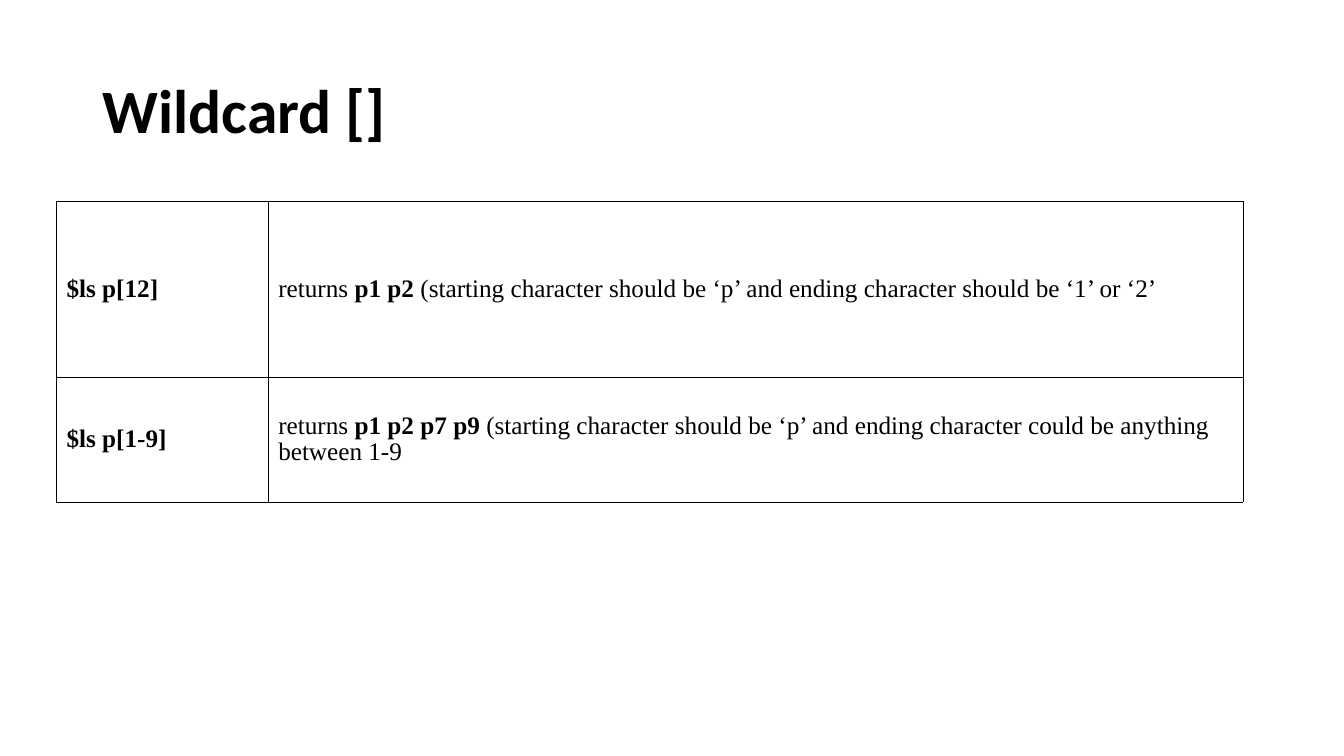
from lxml import etree
from pptx import Presentation
from pptx.dml.color import RGBColor
from pptx.enum.text import MSO_ANCHOR
from pptx.oxml.ns import qn
from pptx.util import Inches, Pt

MIDDLE = MSO_ANCHOR.MIDDLE

# Content: each cell is a list of (text, bold) runs
TITLE = [("Wildcard []", True)]
EXAMPLES = [
    [
        [("$ls p[12]", True)],
        [("returns ", False), ("p1 p2 ", True),
         ("(starting character should be ‘p’ and ending character should be ‘1’ or ‘2’", False)],
    ],
    [
        [("$ls p[1-9]", True)],
        [("returns ", False), ("p1 p2 p7 p9 ", True),
         ("(starting character should be ‘p’ and ending character could be anything between 1-9", False)],
    ],
]

THEME = {
    "ink": "000000",
    "title_font": "Calibri", "title_size": 44, "title_spacing": 0.9,
    "cell_font": "Times New Roman", "cell_size": 18, "cell_spacing": 0.93,
    "border": 0.5,
}
TITLE_BOX = (0.92, 0.4, 11.5, 1.45)
TABLE_LEFT, TABLE_TOP = 0.56, 2
COL_WIDTHS = [2.1, 9.67]
ROW_HEIGHTS = [1.74, 1.24]


def write(tf, runs, role):
    p = tf.paragraphs[0]
    p.line_spacing = THEME[role + "_spacing"]
    for text, bold in runs:
        r = p.add_run()
        r.text = text
        r.font.name = THEME[role + "_font"]
        r.font.size = Pt(THEME[role + "_size"])
        r.font.bold = bold
        r.font.color.rgb = RGBColor.from_string(THEME["ink"])


def add_borders(cell):
    tcPr = cell._tc.get_or_add_tcPr()
    for i, side in enumerate(("a:lnL", "a:lnR", "a:lnT", "a:lnB")):
        ln = etree.Element(qn(side), w=str(Pt(THEME["border"])))
        fill = etree.SubElement(ln, qn("a:solidFill"))
        etree.SubElement(fill, qn("a:srgbClr"), val=THEME["ink"])
        tcPr.insert(i, ln)


prs = Presentation()
prs.slide_width, prs.slide_height = Inches(13.33), Inches(7.5)
s = prs.slides.add_slide(prs.slide_layouts[6])

# Title
tf = s.shapes.add_textbox(*map(Inches, TITLE_BOX)).text_frame
tf.word_wrap = True
tf.vertical_anchor = MIDDLE
write(tf, TITLE, "title")

# Table of examples
table = s.shapes.add_table(
    len(ROW_HEIGHTS), len(COL_WIDTHS), Inches(TABLE_LEFT), Inches(TABLE_TOP),
    Inches(sum(COL_WIDTHS)), Inches(sum(ROW_HEIGHTS))).table
table.first_row = table.horz_banding = False
for column, width in zip(table.columns, COL_WIDTHS):
    column.width = Inches(width)
for row, height, example in zip(table.rows, ROW_HEIGHTS, EXAMPLES):
    row.height = Inches(height)
    for cell, runs in zip(row.cells, example):
        cell.fill.background()
        cell.vertical_anchor = MIDDLE
        write(cell.text_frame, runs, "cell")
        add_borders(cell)

prs.save("out.pptx")
